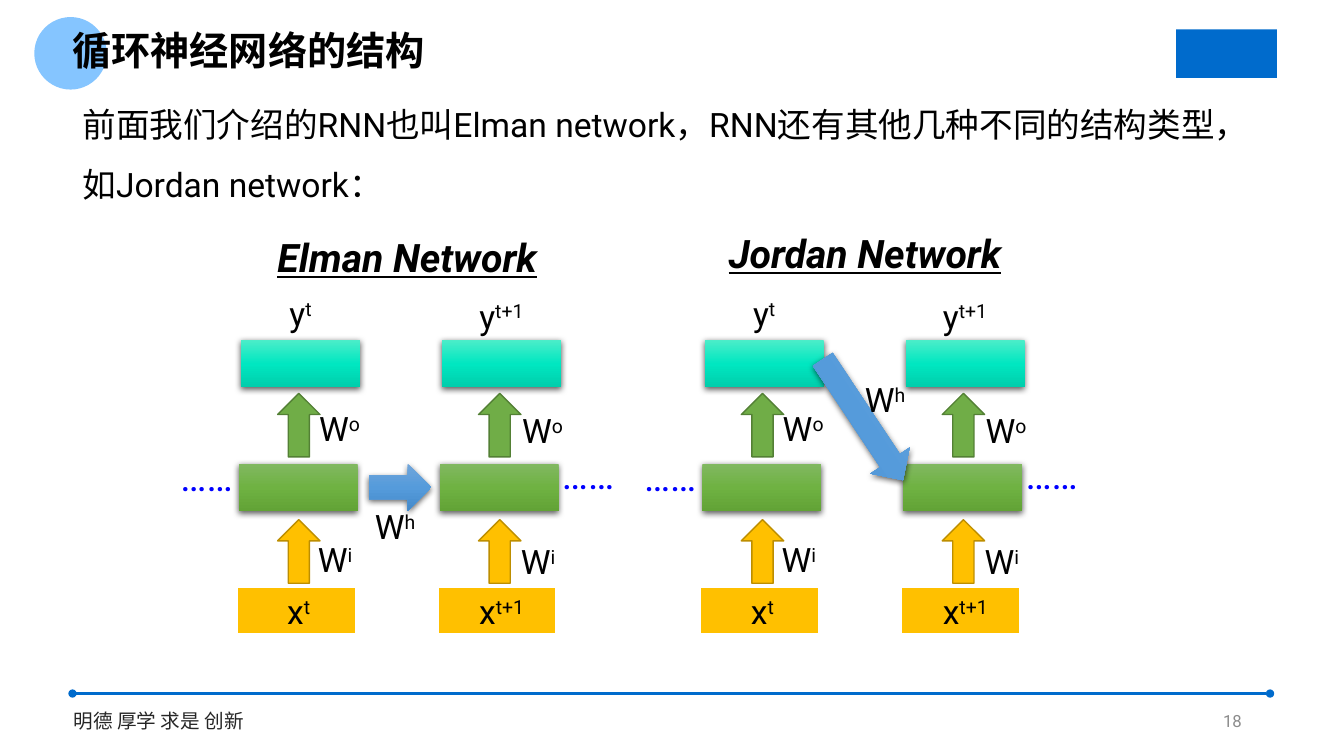
from copy import deepcopy
from dataclasses import dataclass

from lxml import etree
from pptx import Presentation
from pptx.dml.color import RGBColor
from pptx.enum.shapes import MSO_CONNECTOR, MSO_SHAPE
from pptx.enum.text import MSO_ANCHOR, PP_ALIGN
from pptx.oxml.ns import qn
from pptx.util import Pt

RECTANGLE, OVAL = MSO_SHAPE.RECTANGLE, MSO_SHAPE.OVAL
UP_ARROW, RIGHT_ARROW = MSO_SHAPE.UP_ARROW, MSO_SHAPE.RIGHT_ARROW
STRAIGHT = MSO_CONNECTOR.STRAIGHT
LEFT, CENTER, RIGHT = PP_ALIGN.LEFT, PP_ALIGN.CENTER, PP_ALIGN.RIGHT
TOP, MIDDLE = MSO_ANCHOR.TOP, MSO_ANCHOR.MIDDLE


@dataclass(frozen=True)
class Theme:
    """Colours, fonts and type sizes of the slide."""

    latin: str = "Roboto"
    chinese: str = "Noto Sans CJK SC"
    black: str = "000000"
    white: str = "FFFFFF"
    footer: str = "262626"
    number: str = "8C8C8C"
    dots: str = "0000FF"
    brand: str = "006BCC"
    accent: str = "85C5FF"
    input: str = "FFC000"
    input_line: str = "BD8E00"
    hidden: str = "70AD47"
    hidden_line: str = "538035"
    hidden_gradient: tuple = ("81B861", "6FB242", "62A336")
    output_gradient: tuple = ("4BEDC9", "00E7C1", "00CDAB")
    recurrent_gradient: tuple = ("71A6DB", "559BDB", "448ACA")
    heading_size: int = 28
    body_size: int = 24
    footer_size: int = 14
    number_size: int = 12


THEME = Theme()
COLUMN_STEP = 143.5
BOX_SIZE = (85, 33.8)
ARROW_SIZE = (30.3, 45.4)
NETWORKS = (
    {"left": 169, "title": ("Elman Network", 174.2, 163.4),
     "arrow": (263.5, 331.2, 44.6, 33.8), "rotation": 0, "weight": (257, 357.8)},
    {"left": 500.2, "title": ("Jordan Network", 501.1, 160.6),
     "arrow": (564.5, 283, 103.7, 33.8), "rotation": 56.4, "weight": (607, 267.1)},
)


def set_values(target, values):
    """Set each named attribute of the target."""
    for name, value in values.items():
        setattr(target, name, value)


def add_text(slide, box, text, power="", size=THEME.body_size, color=THEME.black,
             name=THEME.latin, align=CENTER, anchor=TOP, spacing=1.0, chinese=False, **style):
    """Add a one-paragraph text box with an optional superscript."""
    frame = slide.shapes.add_textbox(*map(Pt, box)).text_frame
    set_values(frame, {"word_wrap": True, "vertical_anchor": anchor})
    paragraph = frame.paragraphs[0]
    set_values(paragraph, {"alignment": align, "line_spacing": spacing})
    for content, baseline in ((text, None), (power, "30000")):
        if not content:
            continue
        run = paragraph.add_run()
        run.text = content
        set_values(run.font, {"size": Pt(size), "name": name, **style})
        run.font.color.rgb = RGBColor.from_string(color)
        properties = run.font._element
        if baseline:
            properties.set("baseline", baseline)
        if chinese:
            latin = properties.find(qn("a:latin"))
            east_asian = etree.Element(qn("a:ea"), typeface=THEME.chinese)
            latin.addnext(east_asian)


def add_solid(slide, kind, box, color, line=None, width=1):
    """Add a shape with a plain fill and an optional outline."""
    shape = slide.shapes.add_shape(kind, *map(Pt, box))
    shape.shadow.inherit = False
    shape.fill.solid()
    shape.fill.fore_color.rgb = RGBColor.from_string(color)
    if line:
        shape.line.color.rgb = RGBColor.from_string(line)
        shape.line.width = Pt(width)
    else:
        shape.line.fill.background()


def add_gradient(slide, kind, box, colors, rotation=0):
    """Add a shape with a vertical three-stop gradient and a soft shadow."""
    shape = slide.shapes.add_shape(kind, *map(Pt, box))
    shape.rotation = rotation
    shape.line.fill.background()
    shape.fill.gradient()
    shape.fill.gradient_angle = 270
    properties = shape._element.spPr
    stop_list = properties.find(".//" + qn("a:gsLst"))
    stop_list.append(deepcopy(stop_list[0]))
    for index, (stop, color) in enumerate(zip(shape.fill.gradient_stops, colors)):
        stop.color.rgb = RGBColor.from_string(color)
        stop.position = index / 2
    shape.shadow.inherit = False
    shadow = etree.SubElement(
        properties.find(qn("a:effectLst")), qn("a:outerShdw"),
        blurRad=str(Pt(4.5)), dist=str(Pt(1.5)), dir="5400000", algn="ctr", rotWithShape="0")
    color = etree.SubElement(shadow, qn("a:srgbClr"), val=THEME.black)
    etree.SubElement(color, qn("a:alpha"), val="63000")


def add_rule(slide, left, right, top):
    """Add the footer rule with a round dot at each end."""
    rule = slide.shapes.add_connector(STRAIGHT, Pt(left), Pt(top), Pt(right), Pt(top))
    rule.line.color.rgb = RGBColor.from_string(THEME.brand)
    rule.line.width = Pt(1.75)
    line = rule.line._get_or_add_ln()
    for end in ("a:headEnd", "a:tailEnd"):
        etree.SubElement(line, qn(end), type="oval")
    etree.SubElement(rule._element.spPr, qn("a:effectLst"))


def add_column(slide, left, column):
    """Add one time step: input, hidden and output layers with their weights."""
    power = "t+1" if column else "t"
    shift = 1.5 * column
    add_solid(slide, RECTANGLE, (left, 419, *BOX_SIZE), THEME.input, THEME.white, 1.5)
    add_gradient(slide, RECTANGLE, (left + 1.5, 331.3, *BOX_SIZE), THEME.hidden_gradient)
    add_gradient(slide, RECTANGLE, (left + 3.2, 243, *BOX_SIZE), THEME.output_gradient)
    add_text(slide, (left + 8.7 + shift, 418.8, 71.3, 36), "x", power)
    add_text(slide, (left + 10, 206 + shift, 71.3, 36), "y", power)
    arrows = ((371.2, THEME.input, THEME.input_line), (281, THEME.hidden, THEME.hidden_line))
    for top, color, line in arrows:
        add_solid(slide, UP_ARROW, (left + 29.3, top, *ARROW_SIZE), color, line)
    for offset, top, weight in ((45.2, 381.3, "i"), (48.3, 287.8, "o")):
        add_text(slide, (left + offset + shift, top + shift, 50.4, 36), "W", weight)


def add_network(slide, left, title, arrow, rotation, weight):
    """Add a titled network of two time steps and its recurrent link."""
    for column in range(2):
        add_column(slide, left + column * COLUMN_STEP, column)
    add_gradient(slide, RIGHT_ARROW, arrow, THEME.recurrent_gradient, rotation)
    add_text(slide, (*weight, 50.4, 36), "W", "h")
    for offset, top in ((-56.3, 319.5), (216.2, 318.4)):
        add_text(slide, (left + offset, top, 69.8, 41), "……",
                 size=THEME.heading_size, color=THEME.dots)
    name, title_left, title_top = title
    add_text(slide, (title_left, title_top, 233.3, 41), name, size=THEME.heading_size,
             bold=True, italic=True, underline=True)


def add_frame(slide):
    """Add the heading, the emblem block and the footer."""
    add_text(slide, (45.4, 502.6, 184.3, 24.5), "明德 厚学 求是 创新", align=LEFT,
             size=THEME.footer_size, color=THEME.footer, chinese=True)
    add_solid(slide, OVAL, (24.5, 12.2, 51.8, 51.8), THEME.accent)
    add_rule(slide, 51.8, 907.2, 495.4)
    add_solid(slide, RECTANGLE, (840.2, 21, 72, 34.6), THEME.brand)
    add_text(slide, (44.6, 20.9, 673.2, 33.8), "循环神经网络的结构", align=LEFT,
             anchor=MIDDLE, spacing=0.9, size=THEME.heading_size, name=THEME.chinese,
             chinese=True, bold=True)
    add_text(slide, (678.2, 500.4, 216, 28.8), "18", align=RIGHT, anchor=MIDDLE,
             size=THEME.number_size, color=THEME.number)


def main():
    """Build and save the slide."""
    presentation = Presentation()
    set_values(presentation, {"slide_width": Pt(960), "slide_height": Pt(540)})
    slide = presentation.slides.add_slide(presentation.slide_layouts[6])
    add_frame(slide)
    add_text(slide, (51.8, 56.2, 855.4, 89.3),
             "前面我们介绍的RNN也叫Elman network，RNN还有其他几种不同的结构类型，如Jordan network：",
             align=LEFT, spacing=1.5, chinese=True)
    for network in NETWORKS:
        add_network(slide, **network)
    presentation.save("out.pptx")


if __name__ == "__main__":
    main()
